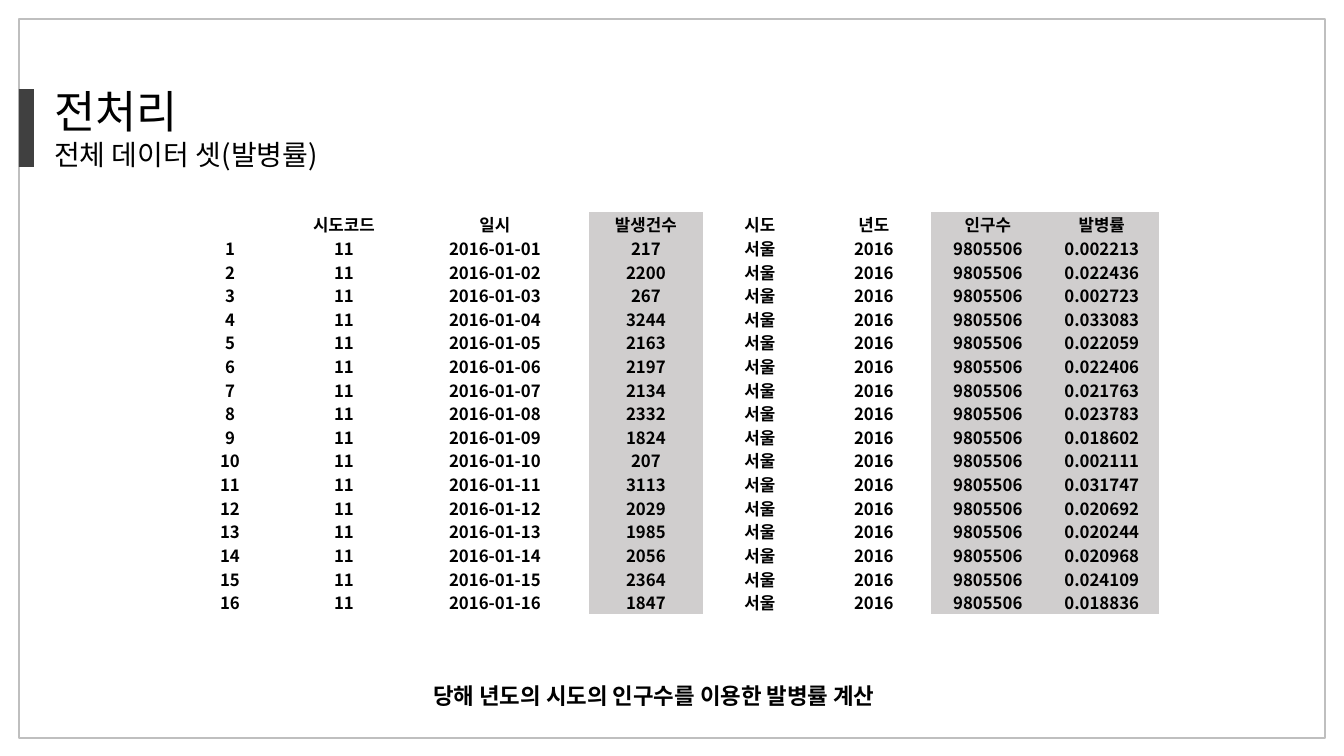
from lxml.etree import SubElement, fromstring
from pptx import Presentation
from pptx.dml.color import RGBColor
from pptx.enum.shapes import MSO_SHAPE
from pptx.enum.text import MSO_ANCHOR, MSO_AUTO_SIZE, PP_ALIGN
from pptx.oxml.ns import nsdecls, qn
from pptx.util import Pt

PX = 12192000 / 1344
FONT = "Noto Sans CJK KR"
NO_STYLE = "{2D5ABB26-0587-4C30-8999-92F81FD0307C}"
BLACK = RGBColor(0x00, 0x00, 0x00)
DARK = RGBColor(0x40, 0x40, 0x40)
RULE = RGBColor(0xBF, 0xBF, 0xBF)
SHADE = RGBColor(0xD0, 0xCE, 0xCE)

HEADERS = ["", "시도코드", "일시", "발생건수", "시도", "년도", "인구수", "발병률"]
COLUMN_WIDTHS = [114, 114, 188, 114, 114, 114, 114, 114]
SHADED = {"발생건수", "인구수", "발병률"}
# Cases and incidence rate for each day from 2016-01-01
DAILY = [
    ("217", "0.002213"), ("2200", "0.022436"), ("267", "0.002723"), ("3244", "0.033083"),
    ("2163", "0.022059"), ("2197", "0.022406"), ("2134", "0.021763"), ("2332", "0.023783"),
    ("1824", "0.018602"), ("207", "0.002111"), ("3113", "0.031747"), ("2029", "0.020692"),
    ("1985", "0.020244"), ("2056", "0.020968"), ("2364", "0.024109"), ("1847", "0.018836"),
]


def px(length):
    return round(length * PX)


def box(*lengths):
    return [px(length) for length in lengths]


def format_runs(paragraph, size, bold=False):
    for run in paragraph.runs:
        run.font.size = Pt(size)
        run.font.bold = bold
        run.font.color.rgb = BLACK
        run.font.name = FONT
        SubElement(run.font._element, qn("a:ea"), typeface=FONT)


def add_frame(slide, left, top, width, height):
    # Thin page border with the dark title bar on its left edge
    border = slide.shapes.add_shape(MSO_SHAPE.RECTANGLE, *box(left, top, width, height))
    border.shadow.inherit = False
    border.fill.background()
    border.line.color.rgb = RULE
    border.line.width = Pt(1)

    title_bar = slide.shapes.add_shape(MSO_SHAPE.RECTANGLE, *box(left, top + 70, 15, 78))
    title_bar.shadow.inherit = False
    title_bar.fill.solid()
    title_bar.fill.fore_color.rgb = DARK
    title_bar.line.fill.background()


def add_heading(slide, left, top, width, height):
    title = slide.shapes.title
    title.left, title.top, title.width, title.height = box(left, top, width, height)
    frame = title.text_frame
    frame.text = "전처리\n전체 데이터 셋(발병률)"
    frame.word_wrap = True
    frame.auto_size = MSO_AUTO_SIZE.SHAPE_TO_FIT_TEXT
    frame.vertical_anchor = MSO_ANCHOR.TOP
    for paragraph, size in zip(frame.paragraphs, (32, 20)):
        paragraph.alignment = PP_ALIGN.LEFT
        format_runs(paragraph, size)
        # Half-transparent hairline around the letters
        for run in paragraph.runs:
            run.font._element.insert(0, fromstring(
                f'<a:ln {nsdecls("a")} w="9525"><a:solidFill><a:srgbClr val="{BLACK}">'
                '<a:alpha val="50000"/></a:srgbClr></a:solidFill></a:ln>'))


def fill_cell(cell, text, shaded):
    cell.text = text
    cell.vertical_anchor = MSO_ANCHOR.MIDDLE
    cell.margin_left = cell.margin_right = cell.margin_top = cell.margin_bottom = 0
    paragraph = cell.text_frame.paragraphs[0]
    paragraph.alignment = PP_ALIGN.CENTER
    format_runs(paragraph, 12, bold=True)
    if not text:
        SubElement(paragraph._p, qn("a:endParaRPr"), sz="1200")
    if shaded:
        cell.fill.solid()
        cell.fill.fore_color.rgb = SHADE
    else:
        cell.fill.background()


def add_incidence_table(slide, left, top, width, height):
    records = [HEADERS] + [
        [str(day), "11", f"2016-01-{day:02}", cases, "서울", "2016", "9805506", rate]
        for day, (cases, rate) in enumerate(DAILY, 1)
    ]
    holder = slide.shapes.add_table(len(records), len(HEADERS), *box(left, top, width, height))
    table = holder.table
    table.first_row = table.horz_banding = False
    table._tbl.tblPr.find(qn("a:tableStyleId")).text = NO_STYLE

    for column, column_width in zip(table.columns, COLUMN_WIDTHS):
        column.width = px(column_width)
    header_height = 24
    day_height = (height - header_height) / len(DAILY)
    for index, (row, record) in enumerate(zip(table.rows, records)):
        row.height = px(day_height if index else header_height)
        for cell, header, text in zip(row.cells, HEADERS, record):
            fill_cell(cell, text, header in SHADED)


def add_caption(slide, left, top, width, height):
    caption = slide.shapes.add_textbox(*box(left, top, width, height))
    frame = caption.text_frame
    frame.text = "당해 년도의 시도의 인구수를 이용한 발병률 계산"
    frame.word_wrap = True
    frame.auto_size = MSO_AUTO_SIZE.SHAPE_TO_FIT_TEXT
    frame.paragraphs[0].alignment = PP_ALIGN.CENTER
    format_runs(frame.paragraphs[0], 16, bold=True)


def main():
    deck = Presentation()
    deck.slide_width, deck.slide_height = box(1344, 756)
    slide = deck.slides.add_slide(deck.slide_layouts[5])
    add_frame(slide, 19, 19, 1306, 719)
    add_heading(slide, 44, 79, 535, 99)
    add_incidence_table(slide, 173, 212, sum(COLUMN_WIDTHS), 402)
    add_caption(slide, 0, 677, 1308, 37)
    deck.save("out.pptx")


if __name__ == "__main__":
    main()
